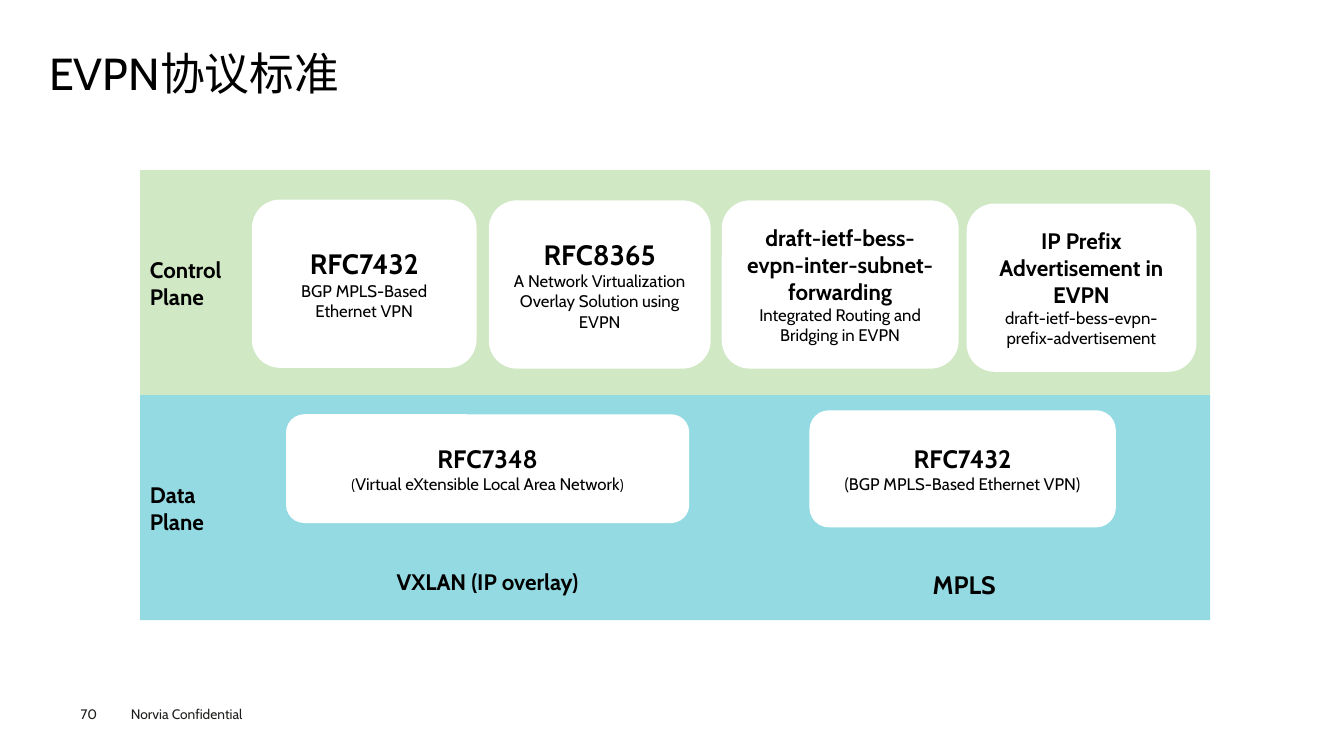
from pptx import Presentation
from pptx.dml.color import RGBColor
from pptx.enum.shapes import MSO_SHAPE as Shape
from pptx.enum.text import MSO_ANCHOR as Anchor, PP_ALIGN as Align
from pptx.util import Cm, Pt

FONT = "Cabin"
BLACK = RGBColor(0x00, 0x00, 0x00)
WHITE = RGBColor(0xFF, 0xFF, 0xFF)
GREEN = RGBColor(0xD0, 0xE8, 0xC4)
BLUE = RGBColor(0x94, 0xDA, 0xE2)
FOOTER_GREY = RGBColor(0x1D, 0x1D, 0x1B)

TITLE = "EVPN协议标准"
PAGE_NUMBER = "70"
CONFIDENTIALITY = "Norvia Confidential"

PLANES = [("Control", "Plane", GREEN), ("Data", "Plane", BLUE)]
PLANE_LEFT, PLANE_TOP, PLANE_WIDTH, PLANE_HEIGHT = 3.53, 4.29, 26.97, 5.67

STANDARDS = [
    ((6.35, 5.03, 5.66, 4.24), "RFC7432", 20, [("BGP MPLS-Based Ethernet VPN", 12)]),
    ((12.32, 5.05, 5.59, 4.24), "RFC8365", 20,
     [("A Network Virtualization Overlay Solution using EVPN", 12)]),
    ((18.19, 5.05, 5.97, 4.24), "draft-ietf-bess-evpn-inter-subnet-forwarding", 16,
     [("Integrated Routing and Bridging in EVPN", 12)]),
    ((24.36, 5.13, 5.79, 4.24), "IP Prefix Advertisement in EVPN", 16,
     [("draft-ietf-bess-evpn-prefix-advertisement", 12)]),
    ((7.21, 10.44, 10.16, 2.74), "RFC7348", 18,
     [("(", 10.5), ("Virtual eXtensible Local Area Network", 12), (")", 10.5)]),
    ((20.4, 10.34, 7.72, 2.95), "RFC7432", 18, [("(BGP MPLS-Based Ethernet VPN)", 12)]),
]

TRANSPORTS = [
    ((7.21, 13.31, 10.16, 2.69), "VXLAN (IP overlay)", 16),
    ((20.4, 13.51, 7.8, 2.46), "MPLS", 18),
]

deck = Presentation()
deck.slide_width, deck.slide_height = Cm(33.87), Cm(19.05)
slide = deck.slides.add_slide(deck.slide_layouts[6])


def add_run(paragraph, text, size, bold=False, color=BLACK):
    run = paragraph.add_run()
    run.text = text
    font = run.font
    font.name, font.size, font.bold = FONT, Pt(size), bold
    font.color.rgb = color


def write(frame, *lines, align=Align.LEFT, anchor=Anchor.MIDDLE, inset=None,
          spacing=None, color=BLACK):
    frame.word_wrap = True
    frame.vertical_anchor = anchor
    if inset is not None:
        frame.margin_left = frame.margin_right = Cm(inset)
        frame.margin_top = frame.margin_bottom = Cm(inset)
    for index, (runs, bold) in enumerate(lines):
        paragraph = frame.add_paragraph() if index else frame.paragraphs[0]
        paragraph.alignment = align
        if spacing:
            paragraph.line_spacing = spacing
        for text, size in runs:
            add_run(paragraph, text, size, bold, color)


def add_block(preset, box, fill=None):
    block = slide.shapes.add_shape(preset, *map(Cm, box))
    block.shadow.inherit = False
    block.line.fill.background()
    if fill is None:
        block.fill.background()
    else:
        block.fill.solid()
        block.fill.fore_color.rgb = fill
    return block.text_frame


def add_text(box, text, size, **formats):
    frame = slide.shapes.add_textbox(*map(Cm, box)).text_frame
    write(frame, ([(text, size)], False), **formats)


add_text((1.24, 1.24, 31.37, 1.37), TITLE, 32, inset=0, spacing=0.9)
add_text((2.03, 17.78, 1.4, 0.41), PAGE_NUMBER, 9.8, anchor=Anchor.TOP, inset=0,
         color=FOOTER_GREY)
add_text((3.05, 17.65, 4.06, 0.69), CONFIDENTIALITY, 9.8, anchor=Anchor.TOP,
         color=FOOTER_GREY)

for row, (first, second, fill) in enumerate(PLANES):
    top = PLANE_TOP + row * PLANE_HEIGHT
    plane = add_block(Shape.RECTANGLE, (PLANE_LEFT, top, PLANE_WIDTH, PLANE_HEIGHT), fill)
    write(plane, ([(first, 16)], True), ([(second, 16)], True))

for box, name, size, description in STANDARDS:
    standard = add_block(Shape.ROUNDED_RECTANGLE, box, WHITE)
    write(standard, ([(name, size)], True), (description, False), align=Align.CENTER)

for box, name, size in TRANSPORTS:
    transport = add_block(Shape.ROUNDED_RECTANGLE, box)
    write(transport, ([(name, size)], True), align=Align.CENTER)

deck.save("out.pptx")
